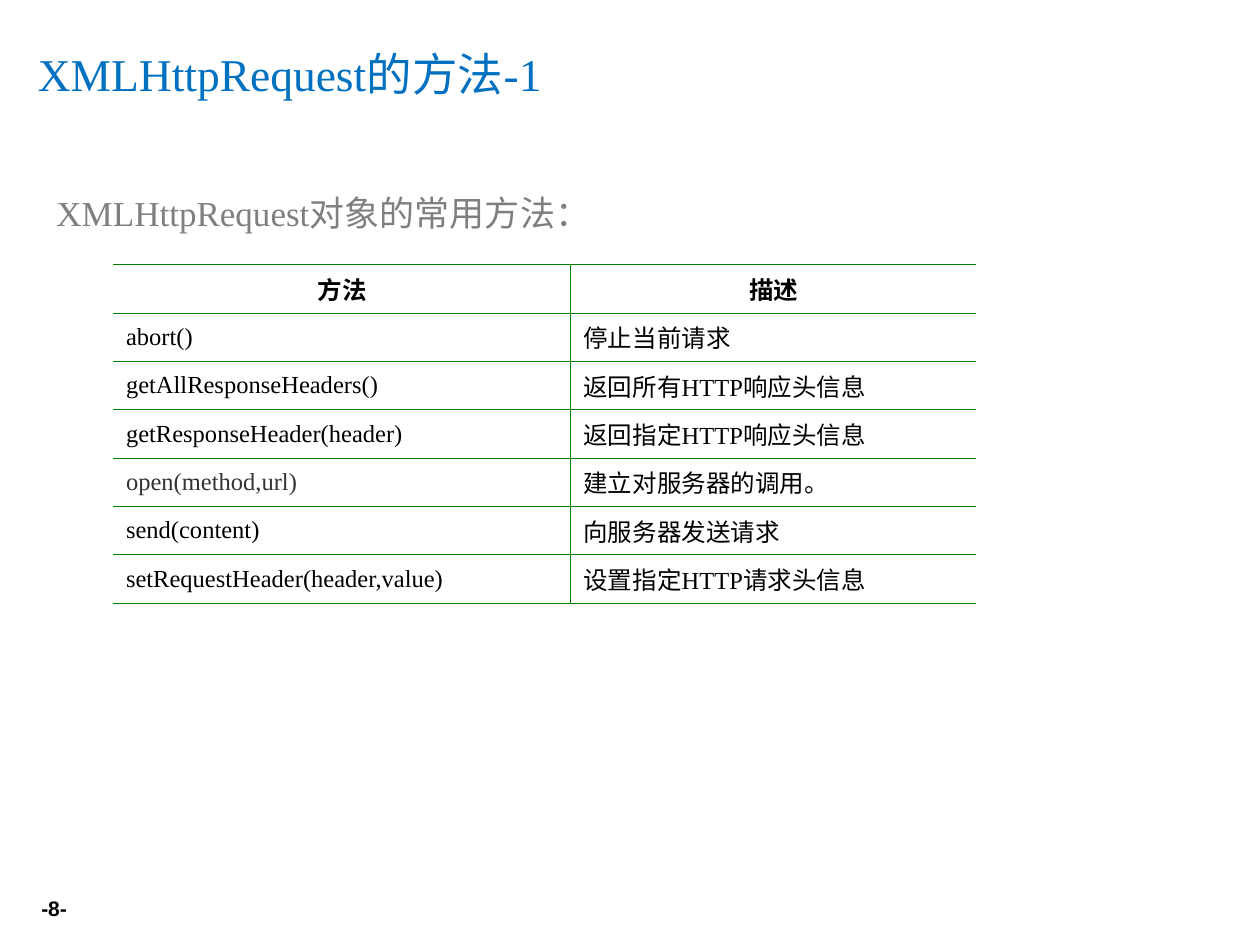
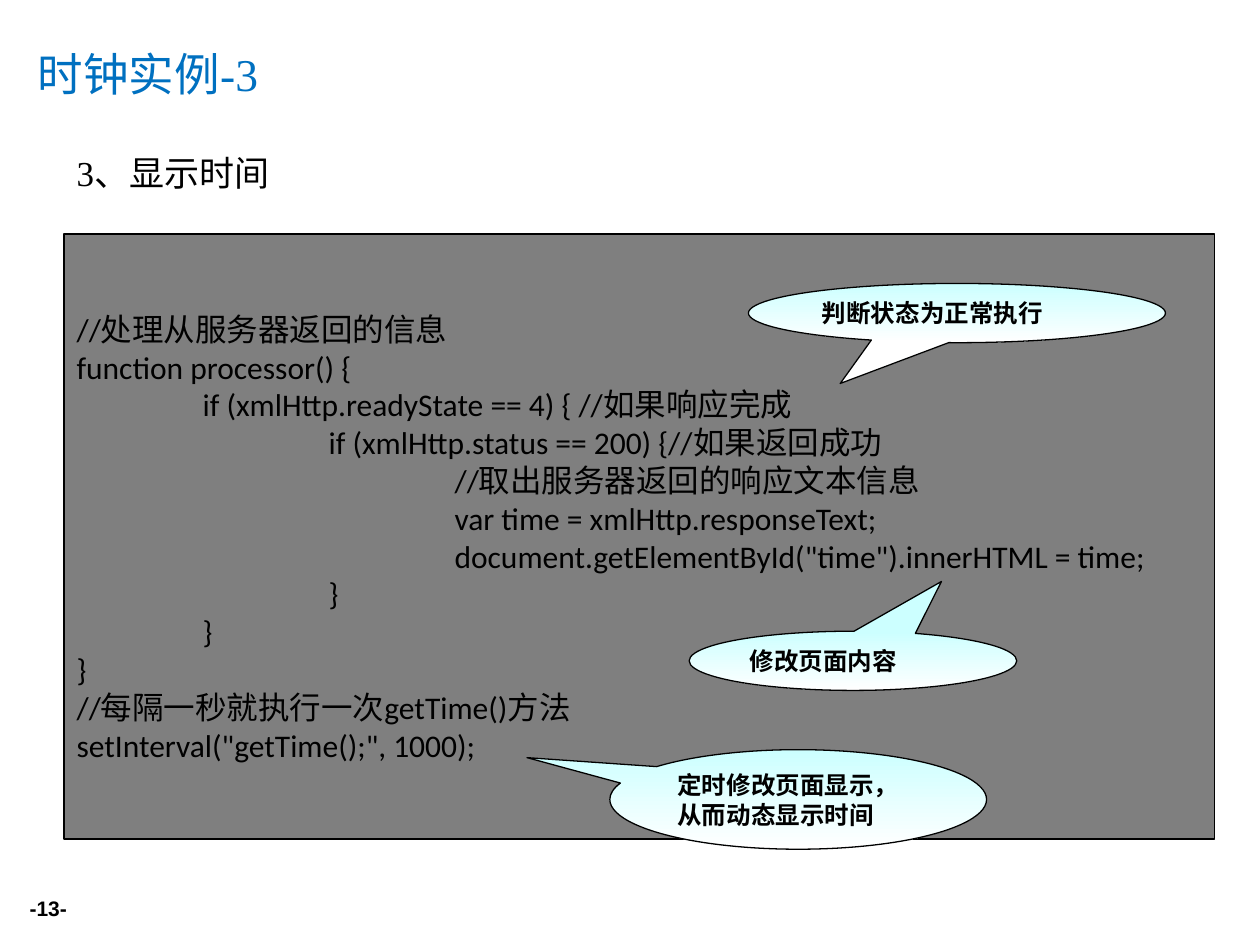
from lxml.etree import SubElement as Sub
from pptx import Presentation
from pptx.dml.color import RGBColor
from pptx.enum.shapes import MSO_SHAPE as Kind
from pptx.enum.text import MSO_ANCHOR as Anchor, MSO_AUTO_SIZE as Auto, PP_ALIGN as Align
from pptx.oxml.ns import qn
from pptx.util import Inches, Pt

WIDE, HIGH = Inches(10), Inches(7.5)
COL, ROW = WIDE // 100, HIGH // 75
BLACK, WHITE, GRAY, BLUE, GREEN = "000000", "FFFFFF", "7F7F7F", "0070C0", "008000"
DARK, AQUA = "333333", "CCFFFF"
SERIF, SANS, CODE, HAN = "Times New Roman", "Arial", "Calibri", "Noto Sans CJK SC"

CALLS = [
    ("abort()", "停止当前请求"),
    ("getAllResponseHeaders()", "返回所有HTTP响应头信息"),
    ("getResponseHeader(header)", "返回指定HTTP响应头信息"),
    ("open(method,url)", "建立对服务器的调用。"),
    ("send(content)", "向服务器发送请求"),
    ("setRequestHeader(header,value)", "设置指定HTTP请求头信息"),
]
LINES = """//处理从服务器返回的信息
function processor() {
\tif (xmlHttp.readyState == 4) { //如果响应完成
\t\tif (xmlHttp.status == 200) {//如果返回成功
\t\t\t//取出服务器返回的响应文本信息
\t\t\tvar time = xmlHttp.responseText;
\t\t\tdocument.getElementById("time").innerHTML = time;
\t\t}
\t}
}
//每隔一秒就执行一次getTime()方法
setInterval("getTime();", 1000);"""
NOTES = [
    ("判断状态为正常执行", (54.3, 3.9, 33.1, 4.7), (-0.28, 1.19)),
    ("修改页面内容", (49.6, 31.5, 26, 4.7), (0.27, -1.34)),
    ("定时修改页面显示，从而动态显示时间", (43.3, 40.9, 29.9, 7.9), (-0.72, -0.42)),
]


def paint(color):
    return RGBColor.from_string(color)


def grid(box):
    x, y, w, h = box
    return [round(n) for n in (x * COL, y * ROW, w * COL, h * ROW)]


def write(frame, text, size, color, face, bold=False, align=Align.LEFT,
          anchor=Anchor.MIDDLE, wrap=True, tabs=()):
    frame.text = text
    frame.auto_size = Auto.NONE
    frame.word_wrap = wrap
    frame.vertical_anchor = anchor
    for para in frame.paragraphs:
        para.alignment = align
        if tabs:
            stops = Sub(para._p.get_or_add_pPr(), qn("a:tabLst"))
            for tab in tabs:
                Sub(stops, qn("a:tab"), pos=str(tab), algn="l")
        font = para.font
        font.size, font.bold, font.name = Pt(size), bold, face
        font.color.rgb = paint(color)
        Sub(para._p.pPr.find(qn("a:defRPr")), qn("a:ea"), typeface=HAN)


def label(slide, box, text, *style, **more):
    write(slide.shapes.add_textbox(*grid(box)).text_frame, text, *style, **more)


def shape(slide, kind, box, width):
    item = slide.shapes.add_shape(kind, *grid(box))
    item.shadow.inherit = False
    item.line.color.rgb = paint(BLACK)
    item.line.width = Pt(width)
    return item


def page(deck, title, number):
    slide = deck.slides.add_slide(deck.slide_layouts[5])
    head = slide.shapes.title
    head.left, head.top, head.width, head.height = grid((2, 2.8, 90, 6.1))
    write(head.text_frame, title, 26, BLUE, SERIF)
    label(slide, (0, 70.6, 6.3, 2.9), f"-{number}-", 12, BLACK, SANS,
          bold=True, align=Align.RIGHT)
    return slide


def edge(cell, side, width):
    line = Sub(cell._tc.get_or_add_tcPr(), qn(f"a:ln{side}"), w=str(Pt(width)))
    if width:
        Sub(Sub(line, qn("a:solidFill")), qn("a:srgbClr"), val=GREEN)
    else:
        Sub(line, qn("a:noFill"))


def methods(slide, box):
    rows = [("方法", "描述")] + CALLS
    last = len(rows) - 1
    table = slide.shapes.add_table(len(rows), 2, *grid(box)).table
    table.first_row = table.horz_banding = False
    for col, share in zip(table.columns, (0.53, 0.47)):
        col.width = round(box[2] * COL * share)
    for r, row in enumerate(rows):
        for c, text in enumerate(row):
            cell = table.cell(r, c)
            edge(cell, "L", 0.45 if c else 0)
            edge(cell, "R", 0 if c else 0.45)
            edge(cell, "T", 0.45 if r else 0.75)
            edge(cell, "B", 0.75 if r == last else 0.45)
            cell.fill.background()
            color = DARK if text.startswith("open") else BLACK
            write(cell.text_frame, text, 14, color, SERIF, bold=r == 0,
                  align=Align.LEFT if r else Align.CENTER)
            cell.vertical_anchor = Anchor.MIDDLE


def note(slide, box, text, tip):
    item = shape(slide, Kind.OVAL_CALLOUT, box, 0.75)
    for i, n in enumerate(tip):
        item.adjustments[i] = n
    item.fill.gradient()
    item.fill.gradient_angle = 270
    for stop, color in zip(item.fill.gradient_stops, (AQUA, WHITE)):
        stop.color.rgb = paint(color)
        stop.position = 0 if color == AQUA else 1
    write(item.text_frame, text, 14, BLACK, HAN, bold=True, anchor=Anchor.TOP)


def listing(slide, box):
    panel = shape(slide, Kind.RECTANGLE, box, 1)
    panel.fill.solid()
    panel.fill.fore_color.rgb = paint(GRAY)
    write(panel.text_frame, LINES, 18, BLACK, CODE, wrap=False,
          tabs=[Inches(n) for n in range(1, 4)])
    for text, (x, y, w, h), tip in NOTES:
        note(slide, (box[0] + x, box[1] + y, w, h), text, tip)


def main():
    deck = Presentation()
    deck.slide_width, deck.slide_height = WIDE, HIGH

    slide = page(deck, "XMLHttpRequest的方法-1", 8)
    label(slide, (3.5, 14.6, 93, 4.6), "XMLHttpRequest对象的常用方法：", 20, GRAY, SERIF)
    methods(slide, (9, 21, 68.5, 26.8))

    slide = page(deck, "时钟实例-3", 13)
    label(slide, (5.1, 11.5, 89.8, 4.4), "3、显示时间", 20, BLACK, SERIF, anchor=Anchor.TOP)
    listing(slide, (5.1, 18.6, 91.3, 48))

    deck.save("out.pptx")


if __name__ == "__main__":
    main()
